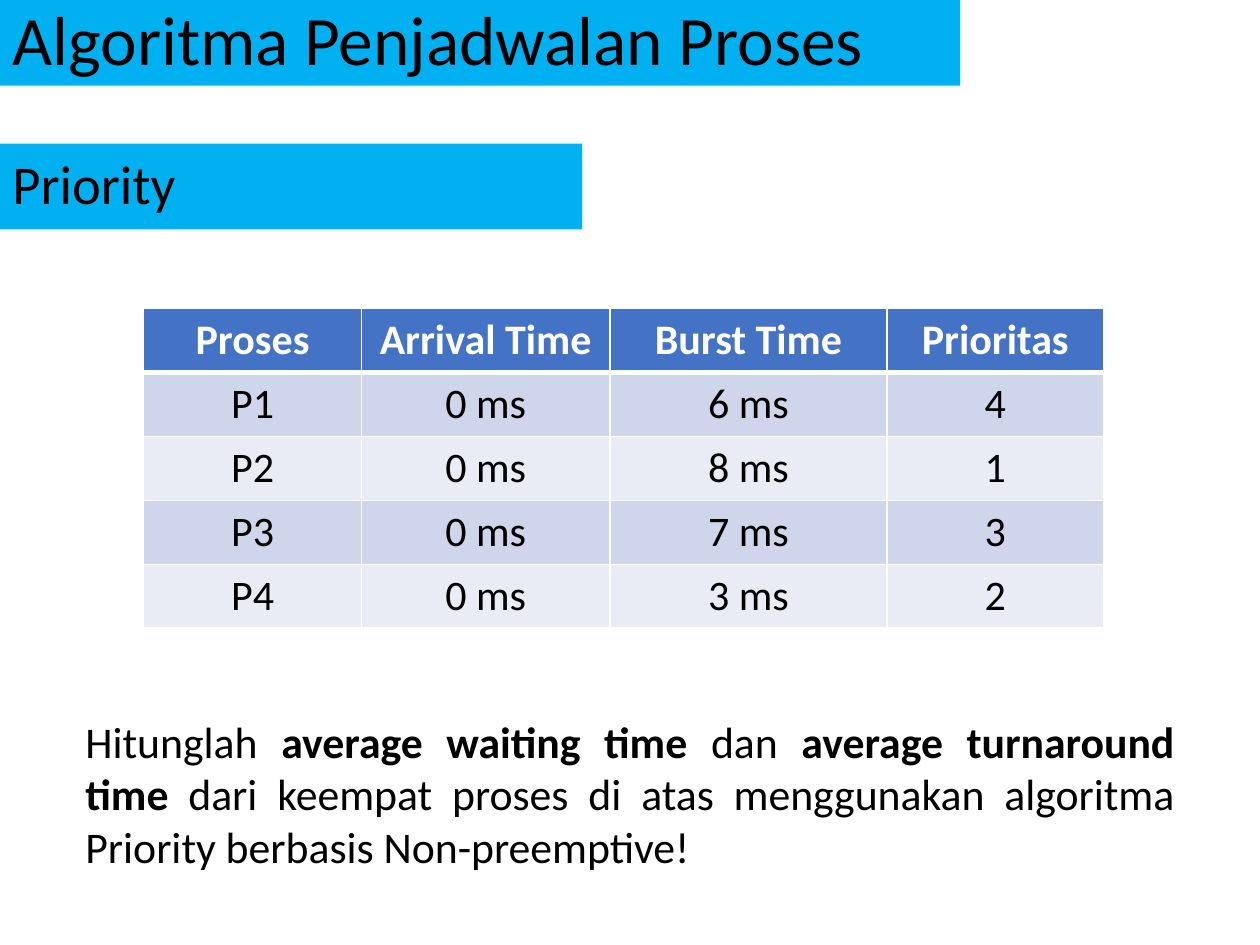
from dataclasses import dataclass

from lxml import etree
from pptx import Presentation
from pptx.dml.color import RGBColor
from pptx.enum.shapes import MSO_SHAPE
from pptx.enum.text import MSO_ANCHOR, MSO_AUTO_SIZE, PP_ALIGN
from pptx.oxml.ns import qn
from pptx.util import Inches, Pt

RECT = MSO_SHAPE.RECTANGLE
MIDDLE = MSO_ANCHOR.MIDDLE
NO_FIT = MSO_AUTO_SIZE.NONE
LEFT, CENTER, JUSTIFY = PP_ALIGN.LEFT, PP_ALIGN.CENTER, PP_ALIGN.JUSTIFY
TITLE_ONLY = 5
COLUMNS, ROWS = 100, 75


@dataclass(frozen=True)
class Theme:
    """Colours, font and type sizes of the deck."""
    font: str = "Calibri"
    ink: str = "000000"
    paper: str = "FFFFFF"
    banner: str = "00B0F0"
    header: str = "4472C4"
    bands: tuple = ("CFD5EA", "E9EBF5")
    title: float = 39.6
    subtitle: float = 31.2
    cell: float = 24
    body: float = 25
    line: float = 1
    header_line: float = 3


class Deck:
    """Holds the theme and the current slide, placed on a 100 by 75 grid."""

    def __init__(self, prs, theme):
        """Start a slide that has only a title."""
        self.prs, self.theme = prs, theme
        self.slide = prs.slides.add_slide(prs.slide_layouts[TITLE_ONLY])

    def box(self, x, y, w, h):
        """Turn grid columns and rows into lengths."""
        dx, dy = self.prs.slide_width / COLUMNS, self.prs.slide_height / ROWS
        return int(x * dx), int(y * dy), int(w * dx), int(h * dy)

    def format(self, p, size, color, align, bold=False):
        """Format a paragraph and its runs."""
        p.alignment = align
        for r in p.runs:
            r.font.name, r.font.size, r.font.bold = self.theme.font, Pt(size), bold
            r.font.color.rgb = RGBColor.from_string(color)

    def fill(self, target, color):
        """Give a shape or cell a solid fill."""
        target.fill.solid()
        target.fill.fore_color.rgb = RGBColor.from_string(color)

    def banner(self, sp, text, size):
        """Style a shape as a banner with left-aligned text."""
        self.fill(sp, self.theme.banner)
        sp.line.fill.background()
        tf = sp.text_frame
        tf.text = text
        tf.word_wrap, tf.auto_size, tf.vertical_anchor = True, NO_FIT, MIDDLE
        p = tf.paragraphs[0]
        p.line_spacing = 0.9
        self.format(p, size, self.theme.ink, LEFT)

    def title(self, text, *grid):
        """Place the title placeholder as a banner."""
        sp = self.slide.shapes.title
        sp.left, sp.top, sp.width, sp.height = self.box(*grid)
        self.banner(sp, text, self.theme.title)

    def subtitle(self, text, *grid):
        """Add a second banner."""
        sp = self.slide.shapes.add_shape(RECT, *self.box(*grid))
        sp.shadow.inherit = False
        self.banner(sp, text, self.theme.subtitle)

    def borders(self, cell, bottom):
        """Draw the four borders of a cell."""
        tc_pr = cell._tc.get_or_add_tcPr()
        for side in ("lnL", "lnR", "lnT", "lnB"):
            width = bottom if side == "lnB" else self.theme.line
            ln = etree.SubElement(tc_pr, qn(f"a:{side}"), w=str(Pt(width)))
            solid = etree.SubElement(ln, qn("a:solidFill"))
            etree.SubElement(solid, qn("a:srgbClr"), val=self.theme.paper)

    def table(self, rows, widths, x, y, row_height):
        """Add a banded table with a header row."""
        t = self.theme
        grid = self.box(x, y, sum(widths), row_height * len(rows))
        table = self.slide.shapes.add_table(len(rows), len(widths), *grid).table
        for column, width in zip(table.columns, widths):
            column.width = self.box(0, 0, width, 0)[2]
        for i, row in enumerate(rows):
            head = i == 0
            for j, text in enumerate(row):
                cell = table.cell(i, j)
                cell.text = text
                self.borders(cell, t.header_line if head else t.line)
                self.fill(cell, t.header if head else t.bands[(i - 1) % 2])
                self.format(cell.text_frame.paragraphs[0], t.cell,
                            t.paper if head else t.ink, CENTER, head)

    def body(self, parts, *grid):
        """Add justified text whose every second part is bold."""
        tf = self.slide.shapes.add_textbox(*self.box(*grid)).text_frame
        tf.word_wrap = True
        p = tf.paragraphs[0]
        for text in parts:
            p.add_run().text = text
        self.format(p, self.theme.body, self.theme.ink, JUSTIFY)
        for r in p.runs[1::2]:
            r.font.bold = True


def main():
    """Build the exercise slide on priority scheduling."""
    prs = Presentation()
    prs.slide_width, prs.slide_height = Inches(10), Inches(7.5)
    deck = Deck(prs, Theme())
    deck.title("Algoritma Penjadwalan Proses", 0, 0, 76.2, 6.8)
    deck.subtitle("Priority", 0, 11.4, 46.2, 6.8)
    processes = [
        ("Proses", "Arrival Time", "Burst Time", "Prioritas"),
        ("P1", "0 ms", "6 ms", "4"),
        ("P2", "0 ms", "8 ms", "1"),
        ("P3", "0 ms", "7 ms", "3"),
        ("P4", "0 ms", "3 ms", "2"),
    ]
    deck.table(processes, (17.3, 19.7, 22, 17.2), 11.4, 24.5, 5)
    deck.body(
        ("Hitunglah ", "average waiting time ", "dan ", "average turnaround time ",
         "dari keempat proses di atas menggunakan algoritma Priority "
         "berbasis Non-preemptive!"),
        5.8, 56.2, 88.4, 13.6)
    prs.save("out.pptx")


if __name__ == "__main__":
    main()
